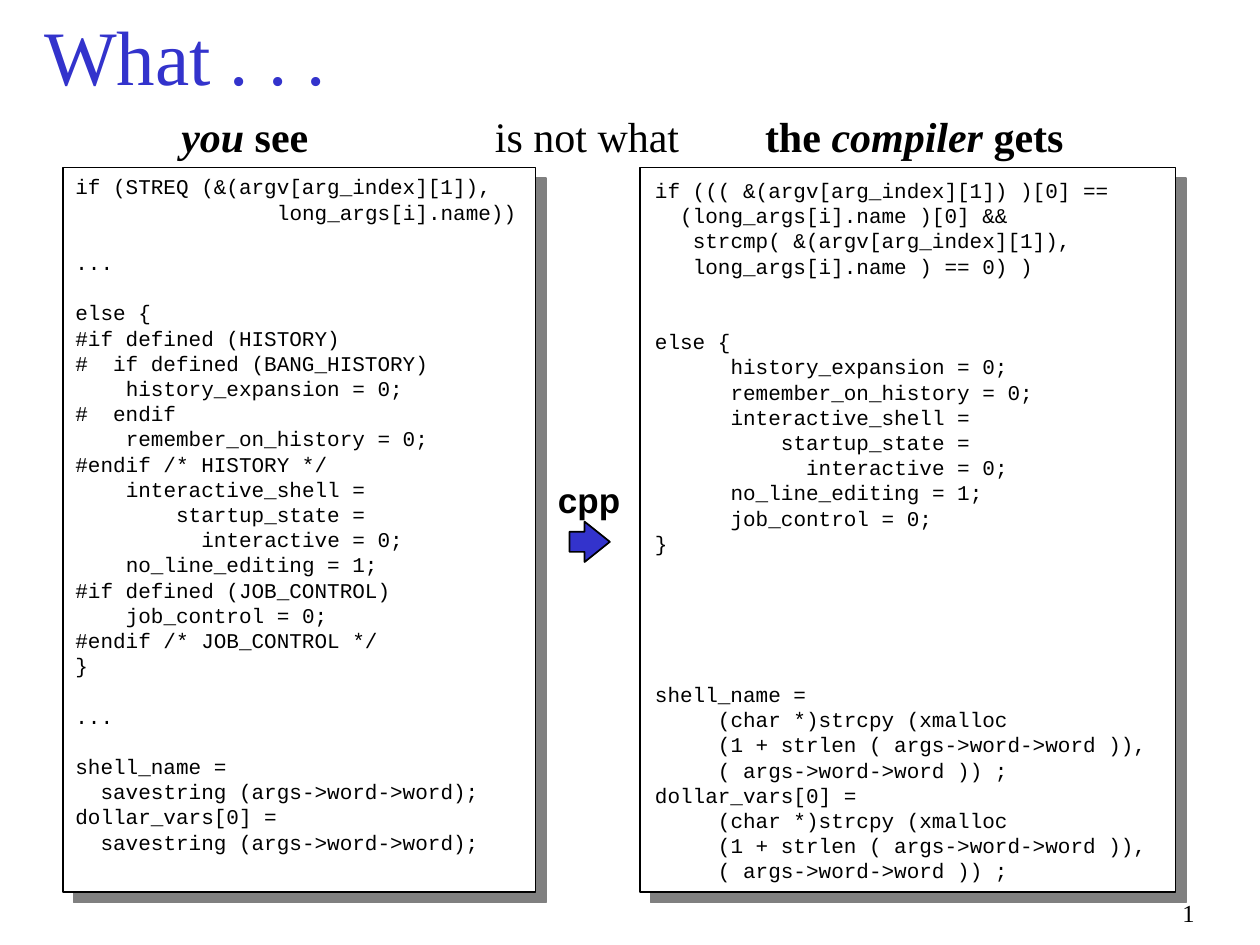
from dataclasses import dataclass
from typing import NamedTuple

from lxml.etree import SubElement
from pptx import Presentation
from pptx.dml.color import RGBColor
from pptx.enum.shapes import MSO_SHAPE
from pptx.enum.text import MSO_ANCHOR, MSO_AUTO_SIZE, PP_ALIGN
from pptx.oxml.ns import qn
from pptx.util import Inches, Pt


@dataclass(frozen=True)
class Theme:
    black: str = "000000"
    white: str = "FFFFFF"
    blue: str = "3333CC"
    gray: str = "808080"
    serif: str = "Times New Roman"
    sans: str = "Arial"
    mono: str = "Courier New"
    title: float = 44
    head: float = 24
    tool: float = 20
    page: float = 14
    code: float = 12
    lead: float = 14.4
    char: float = 0.1


class Box(NamedTuple):
    left: float
    top: float
    width: float
    height: float


class Word(NamedTuple):
    text: str
    bold: bool = False
    slant: bool = False


class Label(NamedTuple):
    box: Box
    words: list[Word]
    font: str
    size: float
    align: PP_ALIGN = PP_ALIGN.LEFT
    anchor: MSO_ANCHOR = MSO_ANCHOR.MIDDLE
    wrap: bool = False


class Panel(NamedTuple):
    frame: Box
    body: Box
    wrap: bool
    code: str


THEME = Theme()

SEEN = """\
if (STREQ (&(argv[arg_index][1]),
                long_args[i].name))

...

else {
#if defined (HISTORY)
#  if defined (BANG_HISTORY)
    history_expansion = 0;
#  endif
    remember_on_history = 0;
#endif /* HISTORY */
    interactive_shell =
        startup_state =
          interactive = 0;
    no_line_editing = 1;
#if defined (JOB_CONTROL)
    job_control = 0;
#endif /* JOB_CONTROL */
}

...

shell_name =
  savestring (args->word->word);
dollar_vars[0] =
  savestring (args->word->word);"""

GIVEN = """\
if ((( &(argv[arg_index][1]) )[0] ==
  (long_args[i].name )[0] &&
   strcmp( &(argv[arg_index][1]),
   long_args[i].name ) == 0) )


else {
      history_expansion = 0;
      remember_on_history = 0;
      interactive_shell =
          startup_state =
            interactive = 0;
      no_line_editing = 1;
      job_control = 0;
}





shell_name =
     (char *)strcpy (xmalloc
     (1 + strlen ( args->word->word )),
     ( args->word->word )) ;
dollar_vars[0] =
     (char *)strcpy (xmalloc
     (1 + strlen ( args->word->word )),
     ( args->word->word )) ;"""

PANELS = [
    Panel(Box(5.08, 1.33, 4.25, 5.75), Box(5.1, 1.36, 4.1, 5.7), False, GIVEN),
    Panel(Box(0.5, 1.33, 3.75, 5.75), Box(0.5, 1.33, 3.83, 5.5), True, SEEN),
]

LABELS = [
    Label(Box(4.33, 3.75, 0.7, 0.43), [Word("cpp", True)],
          THEME.sans, THEME.tool, anchor=MSO_ANCHOR.TOP),
    Label(Box(1.34, 0.83, 1.21, 0.5),
          [Word("you", True, True), Word(" see", True)],
          THEME.serif, THEME.head),
    Label(Box(3.83, 0.83, 1.66, 0.5), [Word("is not what")],
          THEME.serif, THEME.head, PP_ALIGN.CENTER),
    Label(Box(5.97, 0.83, 2.57, 0.5),
          [Word("the ", True), Word("compiler", True, True), Word(" gets", True)],
          THEME.serif, THEME.head, PP_ALIGN.RIGHT),
    Label(Box(7.5, 7.08, 2.08, 0.25), [Word("1")],
          THEME.serif, THEME.page, PP_ALIGN.RIGHT, MSO_ANCHOR.TOP, True),
]


def place(box: Box) -> list:
    return [Inches(side) for side in box]


def style(run, font: str, size: float, color: str = THEME.black) -> None:
    run.font.name = font
    run.font.size = Pt(size)
    run.font.color.rgb = RGBColor.from_string(color)


def add_form(slide, kind: MSO_SHAPE, box: Box, fill: str, line: float):
    form = slide.shapes.add_shape(kind, *place(box))
    form.shadow.inherit = False
    form.fill.solid()
    form.fill.fore_color.rgb = RGBColor.from_string(fill)
    form.line.color.rgb = RGBColor.from_string(THEME.black)
    form.line.width = Pt(line)
    return form


def add_frame(slide, box: Box) -> None:
    form = add_form(slide, MSO_SHAPE.RECTANGLE, box, THEME.white, 0.74)
    effects = form._element.spPr.find(qn("a:effectLst"))
    shade = SubElement(effects, qn("a:outerShdw"), dist=str(Pt(8.5)),
                       dir=str(45 * 60000), algn="ctr", rotWithShape="0")
    SubElement(shade, qn("a:srgbClr"), val=THEME.gray)


def add_text(slide, box: Box, wrap: bool, anchor: MSO_ANCHOR):
    frame = slide.shapes.add_textbox(*place(box)).text_frame
    frame.word_wrap = wrap
    frame.vertical_anchor = anchor
    return frame


def add_code(slide, panel: Panel) -> None:
    frame = add_text(slide, panel.body, panel.wrap, MSO_ANCHOR.MIDDLE)
    rows, gap = [], 0
    for line in panel.code.splitlines():
        if line:
            rows.append((line.lstrip(), len(line) - len(line.lstrip()), gap))
        gap = 0 if line else gap + 1
    frame.text = "\n".join(text for text, _, _ in rows)
    for para, (_, depth, gap) in zip(frame.paragraphs, rows):
        para.line_spacing = Pt(THEME.lead)
        para.space_before = Pt(gap * THEME.lead)
        props = para._p.get_or_add_pPr()
        props.set("marL", str(Inches(depth * THEME.char)))
        props.set("indent", "0")
        style(para.runs[0], THEME.mono, THEME.code)


def add_label(slide, label: Label) -> None:
    frame = add_text(slide, label.box, label.wrap, label.anchor)
    para = frame.paragraphs[0]
    para.alignment = label.align
    for word in label.words:
        run = para.add_run()
        run.text = word.text
        style(run, label.font, label.size)
        run.font.bold = word.bold
        run.font.italic = word.slant


def set_title(slide, text: str) -> None:
    title = slide.shapes.title
    title.left, title.top, title.width, title.height = place(
        Box(0.25, 0.17, 8.5, 0.67))
    frame = title.text_frame
    frame.text = text
    frame.auto_size = MSO_AUTO_SIZE.NONE
    frame.vertical_anchor = MSO_ANCHOR.MIDDLE
    para = frame.paragraphs[0]
    para.alignment = PP_ALIGN.LEFT
    para.line_spacing = 0.8
    style(para.runs[0], THEME.serif, THEME.title, THEME.blue)


deck = Presentation()
deck.slide_width, deck.slide_height = Inches(10), Inches(7.5)
slide = deck.slides.add_slide(deck.slide_layouts[5])
set_title(slide, "What . . .")
for panel in PANELS:
    add_frame(slide, panel.frame)
    add_code(slide, panel)
arrow = add_form(slide, MSO_SHAPE.RIGHT_ARROW, Box(4.52, 4.14, 0.32, 0.32),
                 THEME.blue, 0.99)
arrow.adjustments[0], arrow.adjustments[1] = 0.5, 0.625
for label in LABELS:
    add_label(slide, label)
deck.save("out.pptx")
